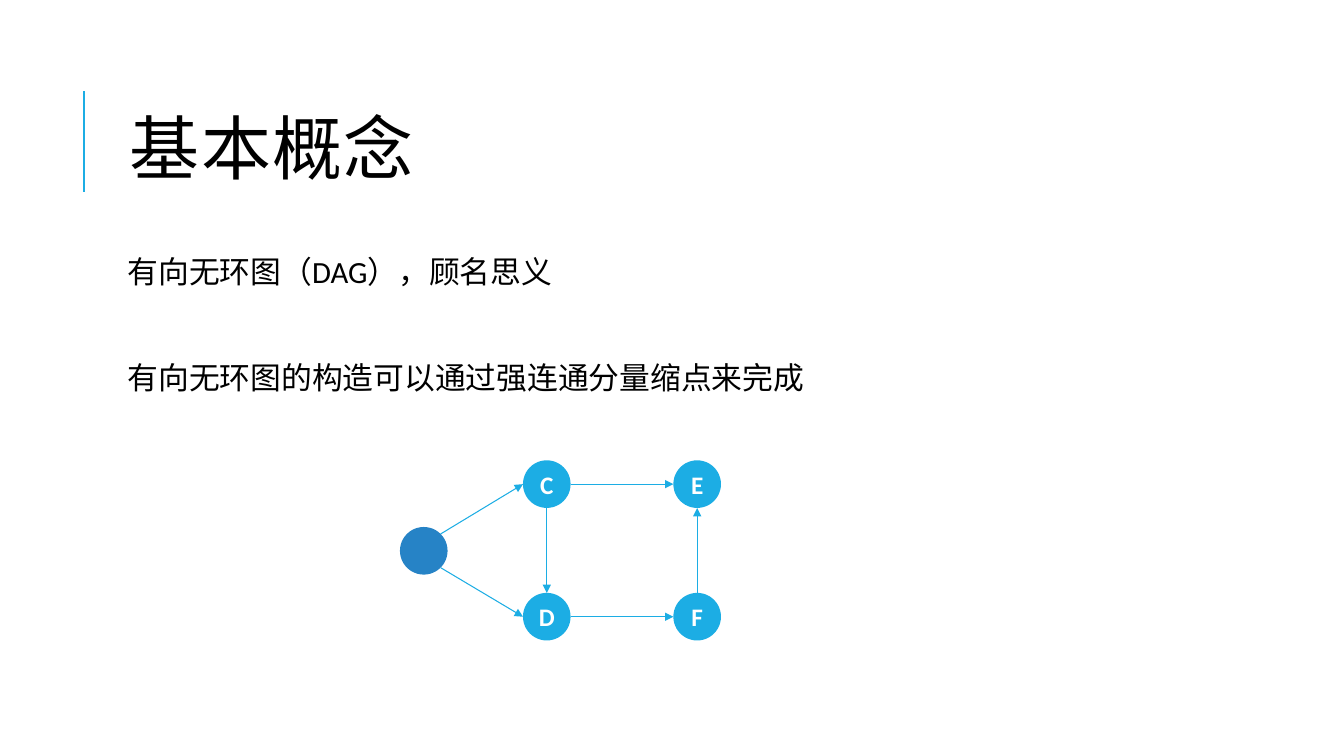
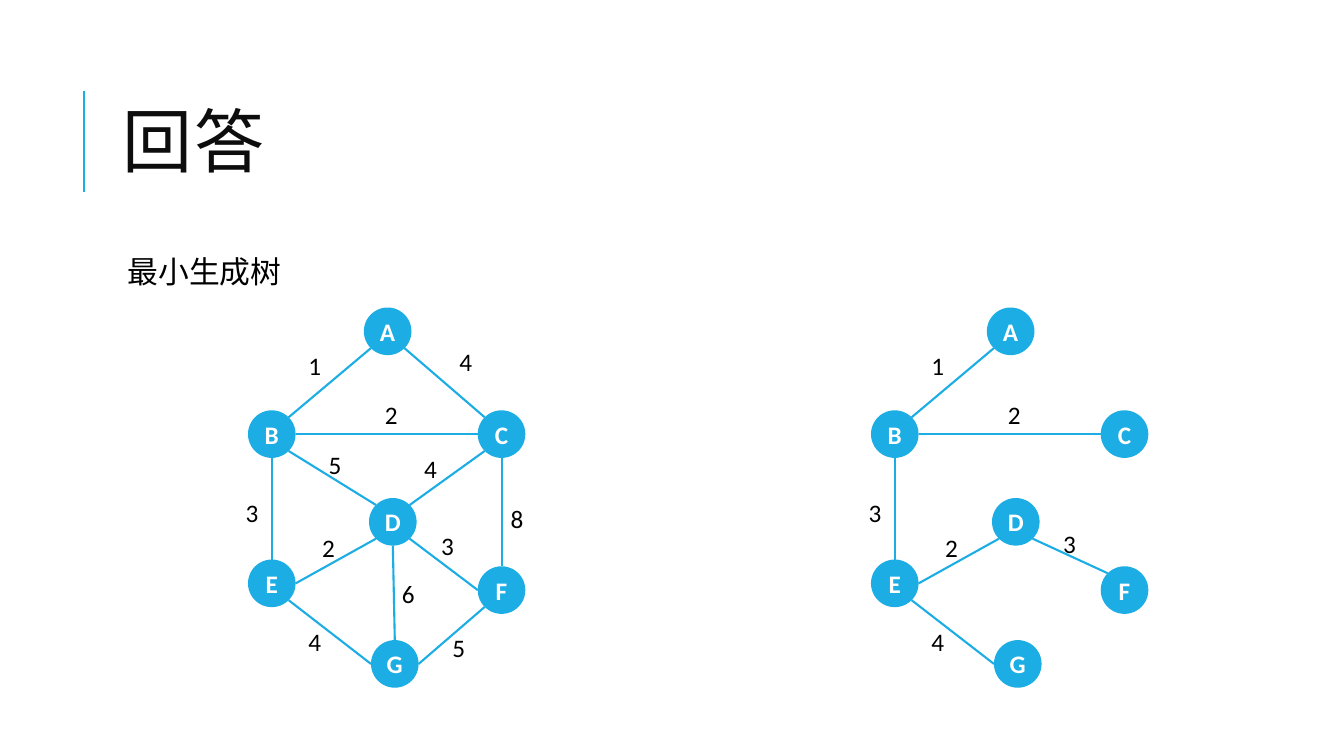
from dataclasses import dataclass
from math import cos, radians, sin

from lxml.etree import SubElement
from pptx import Presentation
from pptx.dml.color import RGBColor
from pptx.enum.shapes import MSO_CONNECTOR, MSO_SHAPE
from pptx.enum.text import MSO_ANCHOR, MSO_AUTO_SIZE, PP_ALIGN
from pptx.oxml.ns import qn
from pptx.util import Cm, Pt

COLORS = {
    "accent": "1CADE4",
    "merged": "2683C6",
    "black": "000000",
    "title": "0D0D0D",
    "white": "FFFFFF",
}
FONTS = {
    "title": {"name": "Cabin", "size": Pt(50), "bold": False},
    "body": {"name": "Calibri", "size": Pt(22)},
    "node": {"name": "Calibri", "size": Pt(18), "bold": True},
    "weight": {"name": "Calibri", "size": Pt(18)},
}
FRAMES = {
    "title": {"vertical_anchor": MSO_ANCHOR.MIDDLE, "word_wrap": True,
              "auto_size": MSO_AUTO_SIZE.NONE},
    "body": {"word_wrap": True, "margin_left": Cm(0.38), "margin_right": Cm(0.13),
             "margin_top": Cm(0.13), "margin_bottom": Cm(0.13)},
    "node": {"vertical_anchor": MSO_ANCHOR.MIDDLE, "word_wrap": False,
             "margin_left": 0, "margin_right": 0, "margin_top": 0, "margin_bottom": 0},
    "weight": {"word_wrap": False, "auto_size": MSO_AUTO_SIZE.SHAPE_TO_FIT_TEXT},
}
PARAGRAPHS = {
    "title": {"alignment": PP_ALIGN.LEFT, "line_spacing": 0.8},
    "body": {"line_spacing": 0.9, "space_before": Pt(12), "space_after": Pt(2)},
    "node": {"alignment": PP_ALIGN.CENTER},
    "weight": {},
}

NODE_SIZE = 1.2
SITES = ["top", "top left", "left", "bottom left",
         "bottom", "bottom right", "right", "top right"]
TREE_SHIFT = 15.7


@dataclass
class Edge:
    start: str
    start_site: str
    end: str
    end_site: str
    weight: str = ""
    weight_at: tuple = ()


DAG_NODES = {"": (10.08, 13.28), "C": (13.18, 11.6), "D": (13.18, 14.94),
             "E": (16.97, 11.6), "F": (16.97, 14.94)}
DAG_EDGES = [
    Edge("", "top right", "C", "left"),
    Edge("", "bottom right", "D", "left"),
    Edge("C", "right", "E", "left"),
    Edge("C", "bottom", "D", "top"),
    Edge("D", "right", "F", "left"),
    Edge("F", "top", "E", "bottom"),
]
GRAPH_NODES = {"A": (9.17, 7.75), "B": (6.25, 10.34), "C": (12.04, 10.34),
               "D": (9.3, 12.55), "E": (6.25, 14.1), "F": (12.04, 14.27),
               "G": (9.35, 16.13)}
SHARED_EDGES = [
    Edge("A", "bottom left", "B", "top right", "1", (7.52, 8.71)),
    Edge("B", "right", "C", "left", "2", (9.45, 9.93)),
    Edge("B", "bottom", "E", "top", "3", (5.94, 12.4)),
    Edge("D", "bottom left", "E", "right", "2", (7.87, 13.28)),
    Edge("E", "bottom right", "G", "left", "4", (7.52, 15.67)),
]
GRAPH_EDGES = SHARED_EDGES + [
    Edge("A", "bottom right", "C", "top left", "4", (11.33, 8.59)),
    Edge("B", "bottom right", "D", "top left", "5", (8.03, 11.2)),
    Edge("C", "bottom left", "D", "top right", "4", (10.44, 11.3)),
    Edge("C", "bottom", "F", "top", "8", (12.62, 12.55)),
    Edge("D", "bottom right", "F", "left", "3", (10.87, 13.23)),
    Edge("D", "bottom", "G", "top", "6", (9.88, 14.45)),
    Edge("F", "bottom left", "G", "right", "5", (11.15, 15.82)),
]
TREE_EDGES = SHARED_EDGES + [
    Edge("D", "bottom right", "F", "top left", "3", (10.84, 13.18)),
]


def rgb(color):
    return RGBColor.from_string(COLORS[color])


def set_values(target, values):
    for attribute, value in values.items():
        setattr(target, attribute, value)


def write_text(frame, lines, role, color):
    set_values(frame, FRAMES[role])
    frame.text = "\n".join(lines)
    for paragraph in frame.paragraphs:
        set_values(paragraph, PARAGRAPHS[role])
        for run in paragraph.runs:
            set_values(run.font, FONTS[role])
            run.font.color.rgb = rgb(color)


def add_line(shapes, start, end, width, arrow=False):
    line = shapes.add_connector(MSO_CONNECTOR.STRAIGHT, *map(Cm, start + end))
    line.line.color.rgb = rgb("accent")
    line.line.width = Pt(width)
    if arrow:
        SubElement(line.line._get_or_add_ln(), qn("a:tailEnd"), type="triangle")
    SubElement(line._element.spPr, qn("a:effectLst"))
    return line


def add_title(slide, text, box, color):
    title = slide.shapes.title
    set_values(title, dict(zip(("left", "top", "width", "height"), map(Cm, box))))
    write_text(title.text_frame, [text], "title", color)
    for run in title.text_frame.paragraphs[0].runs:
        run.font._element.set("spc", "100")
    add_line(slide.shapes, (2.12, 4.83), (2.12, 2.3), 1.5)


def add_body(slide, lines):
    body = slide.shapes.add_textbox(Cm(2.84), Cm(6.35), Cm(27), Cm(11.18))
    write_text(body.text_frame, lines, "body", "black")
    for paragraph in body.text_frame.paragraphs[1:]:
        paragraph.space_before = Pt(50)


def add_node(shapes, letter, position):
    node = shapes.add_shape(MSO_SHAPE.OVAL, *map(Cm, position + (NODE_SIZE, NODE_SIZE)))
    node.shadow.inherit = False
    node.fill.solid()
    node.fill.fore_color.rgb = rgb("accent" if letter else "merged")
    node.line.fill.background()
    if letter:
        write_text(node.text_frame, [letter], "node", "white")
    return node


def site_point(position, site):
    angle = radians(90 + 45 * SITES.index(site))
    radius = NODE_SIZE / 2
    left, top = position
    return left + radius * (1 + cos(angle)), top + radius * (1 - sin(angle))


def glue(line, tag, node, site):
    links = line._element.find(qn("p:nvCxnSpPr")).find(qn("p:cNvCxnSpPr"))
    SubElement(links, qn(tag), id=str(node.shape_id), idx=str(SITES.index(site)))


def add_weight(shapes, weight, position):
    label = shapes.add_textbox(*map(Cm, position + (0.86, 1.02)))
    write_text(label.text_frame, [weight], "weight", "black")


def add_graph(slide, positions, edges, width, arrow=False, shift=0):
    shapes = slide.shapes.add_group_shape().shapes
    places = {letter: (left + shift, top) for letter, (left, top) in positions.items()}
    nodes = {letter: add_node(shapes, letter, place) for letter, place in places.items()}
    for edge in edges:
        line = add_line(shapes, site_point(places[edge.start], edge.start_site),
                        site_point(places[edge.end], edge.end_site), width, arrow)
        glue(line, "a:stCxn", nodes[edge.start], edge.start_site)
        glue(line, "a:endCxn", nodes[edge.end], edge.end_site)
    for edge in edges:
        if edge.weight:
            left, top = edge.weight_at
            add_weight(shapes, edge.weight, (left + shift, top))


def main():
    deck = Presentation()
    set_values(deck, {"slide_width": Cm(33.87), "slide_height": Cm(19.05)})
    title_only = deck.slide_layouts[5]

    concept = deck.slides.add_slide(title_only)
    add_title(concept, "基本概念", (3.02, 2.64, 21.59, 2.51), "black")
    add_body(concept, ["有向无环图（DAG），顾名思义",
                       "有向无环图的构造可以通过强连通分量缩点来完成"])
    add_graph(concept, DAG_NODES, DAG_EDGES, 0.75, arrow=True)

    answer = deck.slides.add_slide(title_only)
    add_title(answer, "回答", (2.84, 1.63, 27, 4.17), "title")
    add_body(answer, ["最小生成树"])
    add_graph(answer, GRAPH_NODES, TREE_EDGES, 1.5, shift=TREE_SHIFT)
    add_graph(answer, GRAPH_NODES, GRAPH_EDGES, 1.5)

    deck.save("out.pptx")


if __name__ == "__main__":
    main()
